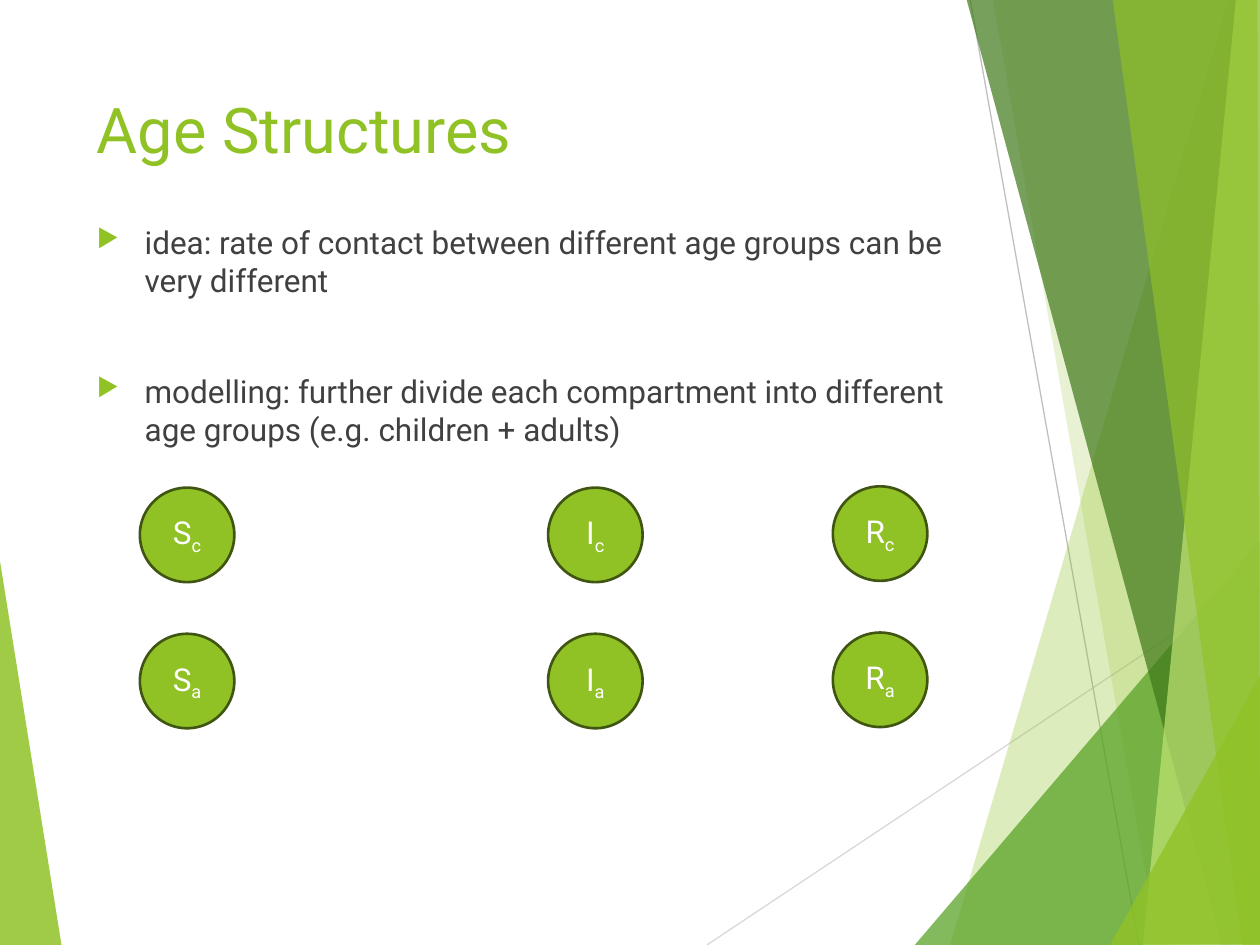
import dataclasses

import lxml.etree
import pptx
import pptx.dml.color
import pptx.enum.shapes
import pptx.enum.text
import pptx.oxml.ns
import pptx.util

Inches = pptx.util.Inches
Pt = pptx.util.Pt
qn = pptx.oxml.ns.qn


@dataclasses.dataclass(frozen=True)
class Theme:
    font: str = "Roboto"
    green: str = "90C226"
    leaf: str = "54A021"
    forest: str = "3F7819"
    lime: str = "C0E474"
    outline: str = "3F5511"
    body: str = "404040"
    white: str = "FFFFFF"
    light_gray: str = "D9D9D9"
    gray: str = "BFBFBF"
    title_size: int = 36
    body_size: int = 18


THEME = Theme()

LEFT_FACET = (THEME.green, 85, [(-0.01, 4.39), (0.49, 7.51), (-0.01, 7.5)])
RAYS = [
    (THEME.light_gray, (5.61, 7.5), (10.01, 4.57)),
    (THEME.gray, (7.7, 0), (9.04, 7.5)),
]
RIGHT_FACETS = [
    (THEME.green, 30, [(9.75, 0), (7.54, 7.5), (10.02, 7.51), (10.01, 0.01)]),
    (THEME.green, 20, [(7.88, -0.01), (9.19, 7.5), (10.01, 7.5), (10.01, -0.01)]),
    (THEME.leaf, 72, [(7.26, 7.5), (10, 4.29), (10.01, 7.5)]),
    (THEME.forest, 70, [(7.67, -0.01), (9.7, 7.5), (10.01, 7.49), (10.01, -0.01)]),
    (THEME.lime, 70, [(9.81, -0.01), (9.07, 7.5), (10.01, 7.5), (10, -0.01)]),
    (THEME.green, 65, [(8.83, -0.01), (9.86, 7.5), (10, 7.5), (9.98, -0.01)]),
    (THEME.green, 80, [(8.81, 7.5), (10.01, 5.35), (10.01, 7.49)]),
]
IDEAS = [
    "idea: rate of contact between different age groups can be very different",
    "modelling: further divide each compartment into different age groups "
    "(e.g. children + adults)",
]
COMPARTMENTS = [("S", 1.11, 3.87), ("I", 4.35, 3.87), ("R", 6.61, 3.86)]
AGE_GROUPS = ["c", "a"]
AGE_GROUP_STEP = 1.16
DIAMETER = 0.75


def rgb(value):
    return pptx.dml.color.RGBColor.from_string(value)


def add_span(para, text, size=THEME.body_size, color=THEME.body, baseline=None):
    span = para.add_run()
    span.text = text
    span.font.name = THEME.font
    span.font.size = Pt(size)
    span.font.color.rgb = rgb(color)
    if baseline is not None:
        span.font._element.set("baseline", str(baseline * 1000))


def add_facet(page, color, opacity, points):
    corners = [(Inches(x), Inches(y)) for x, y in points]
    builder = page.shapes.build_freeform(*corners[0])
    builder.add_line_segments(corners[1:], close=True)
    facet = builder.convert_to_shape()
    facet.shadow.inherit = False
    facet.fill.solid()
    facet.fill.fore_color.rgb = rgb(color)
    facet.line.fill.background()
    tint = facet._element.spPr.find(".//" + qn("a:srgbClr"))
    lxml.etree.SubElement(tint, qn("a:alpha")).set("val", str(opacity * 1000))


def add_ray(page, color, start, end):
    ray = page.shapes.add_connector(
        pptx.enum.shapes.MSO_CONNECTOR.STRAIGHT,
        *(Inches(length) for length in start + end),
    )
    ray.line.color.rgb = rgb(color)
    ray.line.width = Pt(0.75)
    lxml.etree.SubElement(ray._element.spPr, qn("a:effectLst"))


def add_text_box(page, left, top, width, height):
    box = page.shapes.add_textbox(
        Inches(left), Inches(top), Inches(width), Inches(height)
    )
    box.text_frame.word_wrap = True
    return box.text_frame


def add_bullet(para):
    properties = para._p.get_or_add_pPr()
    properties.set("marL", str(Inches(0.38)))
    properties.set("indent", str(-Inches(0.38)))
    color = lxml.etree.SubElement(properties, qn("a:buClr"))
    lxml.etree.SubElement(color, qn("a:srgbClr")).set("val", THEME.green)
    lxml.etree.SubElement(properties, qn("a:buSzPct")).set("val", "80000")
    lxml.etree.SubElement(properties, qn("a:buChar")).set("char", "▶")


def add_bullets(page, items):
    frame = add_text_box(page, 0.67, 1.72, 6.94, 4.89)
    for index, text in enumerate(items):
        para = frame.add_paragraph() if index else frame.paragraphs[0]
        add_bullet(para)
        if index:
            para.space_before = Pt(42)
        add_span(para, text)


def add_compartment(page, letter, group, left, top):
    circle = page.shapes.add_shape(
        pptx.enum.shapes.MSO_SHAPE.OVAL,
        Inches(left), Inches(top), Inches(DIAMETER), Inches(DIAMETER),
    )
    circle.shadow.inherit = False
    circle.fill.solid()
    circle.fill.fore_color.rgb = rgb(THEME.green)
    circle.line.color.rgb = rgb(THEME.outline)
    circle.line.width = Pt(1.5)
    circle.text_frame.vertical_anchor = pptx.enum.text.MSO_ANCHOR.MIDDLE
    para = circle.text_frame.paragraphs[0]
    para.alignment = pptx.enum.text.PP_ALIGN.CENTER
    add_span(para, letter, color=THEME.white)
    add_span(para, group, color=THEME.white, baseline=-25)


def main():
    deck = pptx.Presentation()
    deck.slide_width, deck.slide_height = Inches(10), Inches(7.5)
    page = deck.slides.add_slide(deck.slide_layouts[6])

    add_facet(page, *LEFT_FACET)
    for ray in RAYS:
        add_ray(page, *ray)
    for facet in RIGHT_FACETS:
        add_facet(page, *facet)

    title = add_text_box(page, 0.67, 0.67, 6.94, 0.85)
    add_span(title.paragraphs[0], "Age Structures",
             size=THEME.title_size, color=THEME.green)
    add_bullets(page, IDEAS)

    for row, group in enumerate(AGE_GROUPS):
        for letter, left, top in COMPARTMENTS:
            add_compartment(page, letter, group, left, top + row * AGE_GROUP_STEP)

    deck.save("out.pptx")


if __name__ == "__main__":
    main()
